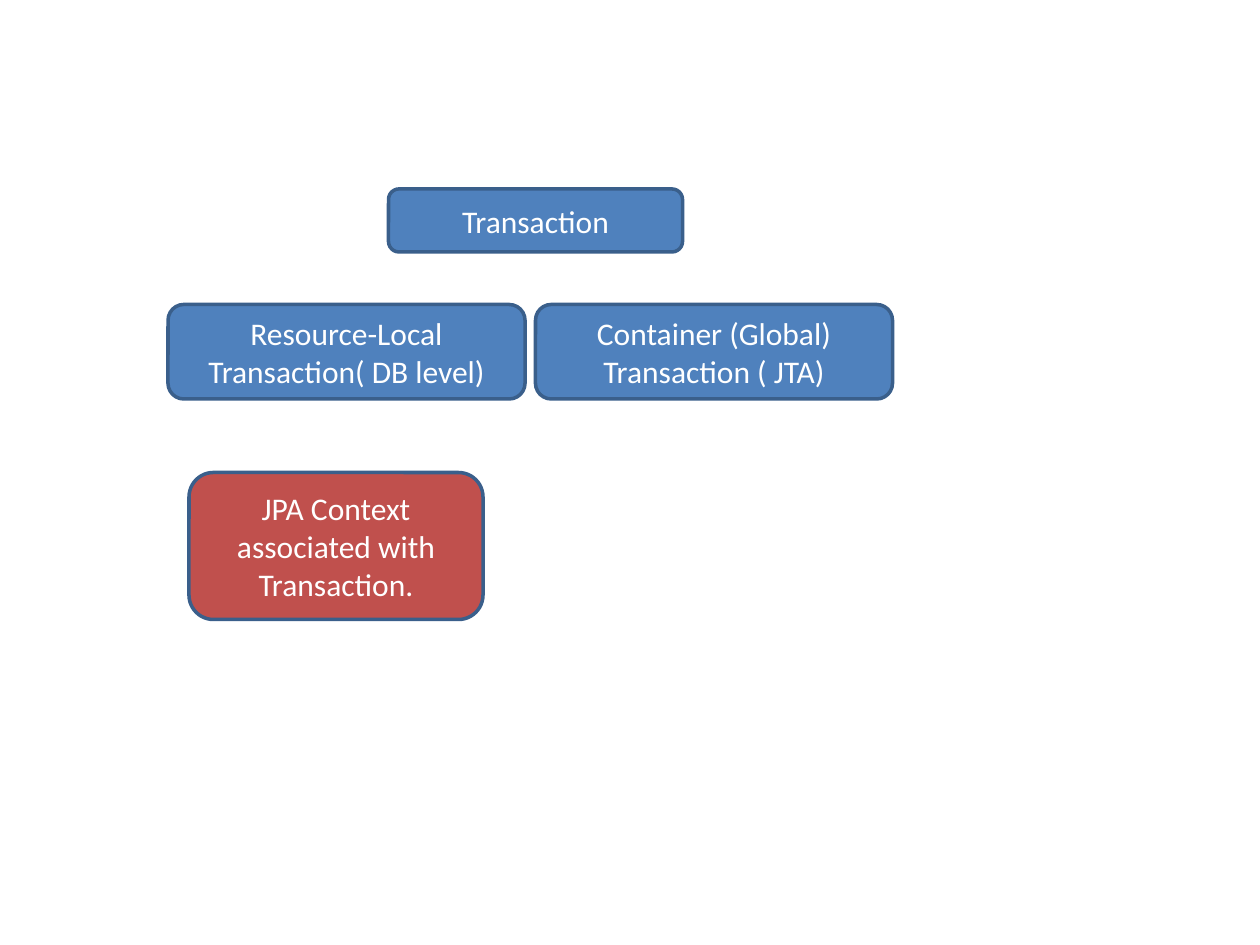
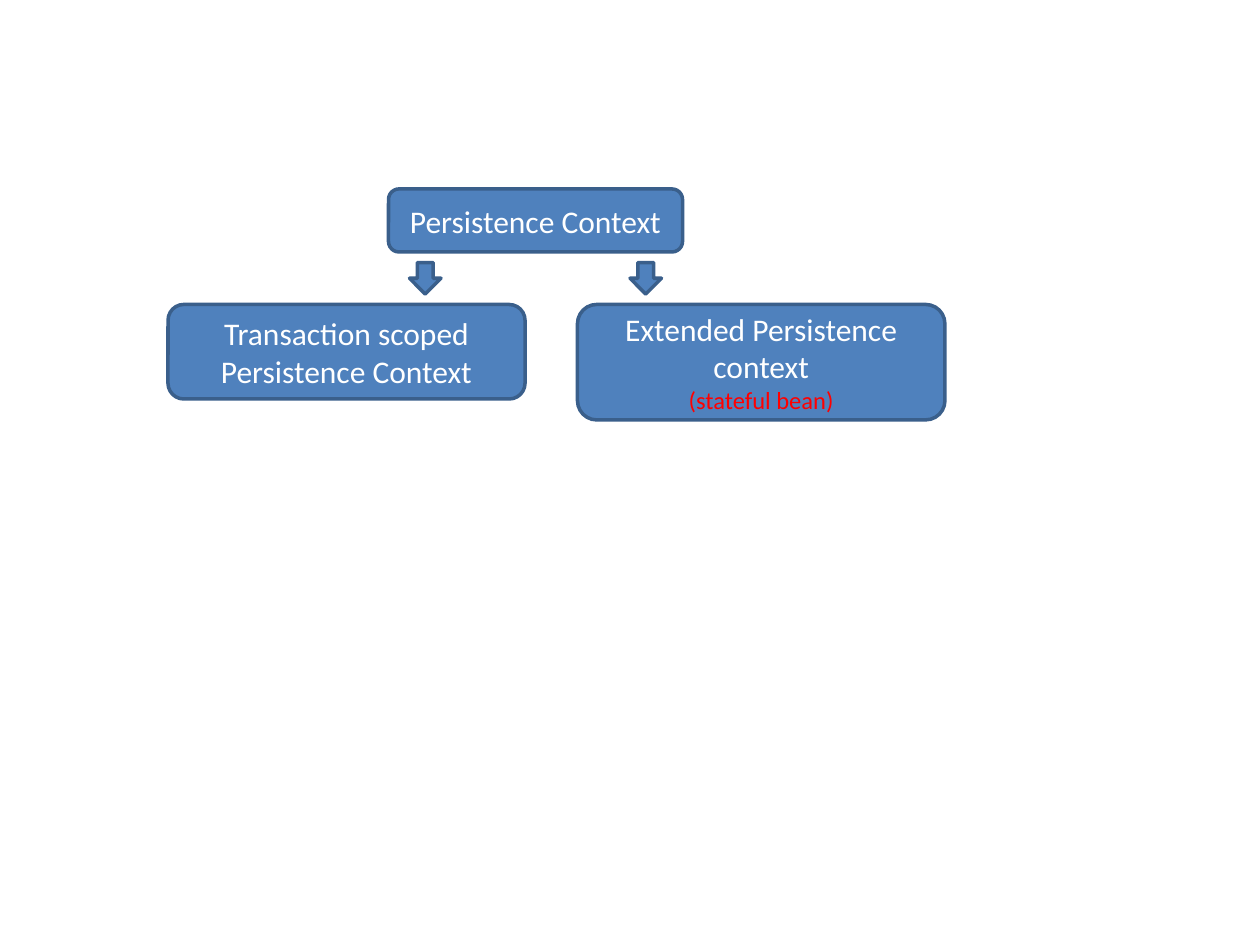
from pptx import Presentation
from pptx.dml.color import RGBColor
from pptx.enum import shapes, text
from pptx.util import Pt

BLUE = RGBColor(0x4F, 0x81, 0xBD)
OUTLINE = RGBColor(0x3A, 0x5F, 0x8B)
BRICK = RGBColor(0xC0, 0x50, 0x4D)
RED = RGBColor(0xFF, 0x00, 0x00)
WHITE = RGBColor(0xFF, 0xFF, 0xFF)

ROOT = (222, 108, 168, 36)
LEFT_BRANCH = (96, 174, 204, 54)
ARROW_TOP, ARROW_SIZE = 150, 18


class Diagram:
    font_name = "Calibri"
    label_size = 18
    note_size = 14
    line_width = 2

    def __init__(self):
        self.presentation = Presentation()
        self.presentation.slide_width = Pt(720)
        self.presentation.slide_height = Pt(540)
        self.slide = None

    def add_slide(self):
        self.slide = self.presentation.slides.add_slide(self.presentation.slide_layouts[6])

    def shape(self, kind, bounds, fill):
        shape = self.slide.shapes.add_shape(kind, *map(Pt, bounds))
        shape.shadow.inherit = False
        shape.fill.solid()
        shape.fill.fore_color.rgb = fill
        shape.line.color.rgb = OUTLINE
        shape.line.width = Pt(self.line_width)
        return shape

    def centered_text(self, paragraph, content, size, color):
        paragraph.text = content
        paragraph.alignment = text.PP_ALIGN.CENTER
        for run in paragraph.runs:
            run.font.name = self.font_name
            run.font.size = Pt(size)
            run.font.color.rgb = color

    def box(self, bounds, label, note=None, fill=BLUE):
        shape = self.shape(shapes.MSO_SHAPE.ROUNDED_RECTANGLE, bounds, fill)
        text_frame = shape.text_frame
        text_frame.word_wrap = True
        text_frame.vertical_anchor = text.MSO_ANCHOR.MIDDLE
        self.centered_text(text_frame.paragraphs[0], label, self.label_size, WHITE)
        if note:
            self.centered_text(text_frame.add_paragraph(), note, self.note_size, RED)

    def down_arrow(self, left):
        bounds = (left, ARROW_TOP, ARROW_SIZE, ARROW_SIZE)
        self.shape(shapes.MSO_SHAPE.DOWN_ARROW, bounds, BLUE)


def main():
    diagram = Diagram()

    diagram.add_slide()
    diagram.box(ROOT, "Transaction")
    diagram.box(LEFT_BRANCH, "Resource-Local Transaction( DB level)")
    diagram.box((306, 174, 204, 54), "Container (Global) Transaction ( JTA)")
    diagram.box((108, 270, 168, 84), "JPA Context associated with Transaction.", fill=BRICK)

    diagram.add_slide()
    diagram.box(ROOT, "Persistence Context")
    diagram.box(LEFT_BRANCH, "Transaction scoped Persistence Context")
    diagram.box((330, 174, 210, 66), "Extended Persistence context", "(stateful bean)")
    for left in (234, 360):
        diagram.down_arrow(left)

    diagram.presentation.save("out.pptx")


if __name__ == "__main__":
    main()
